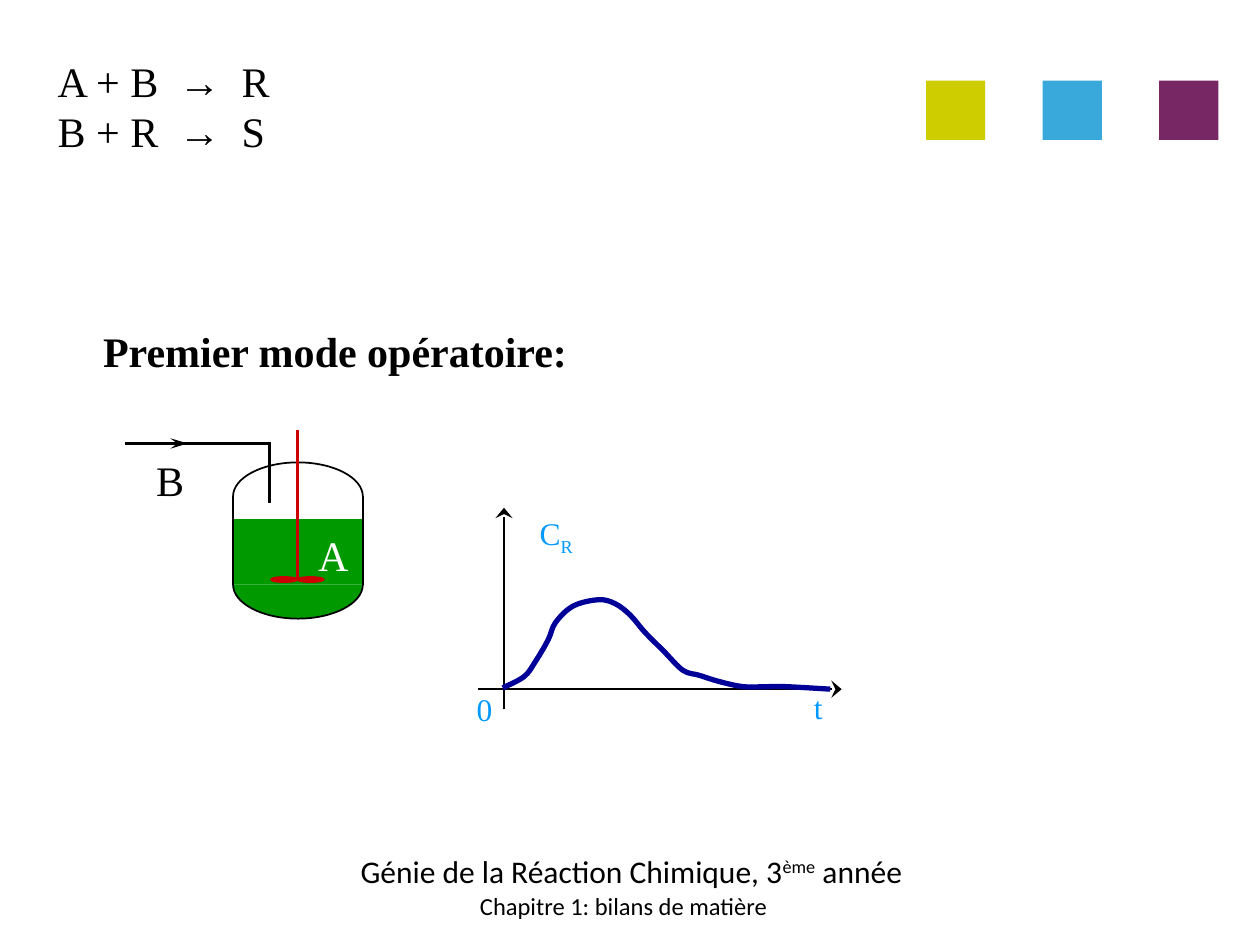
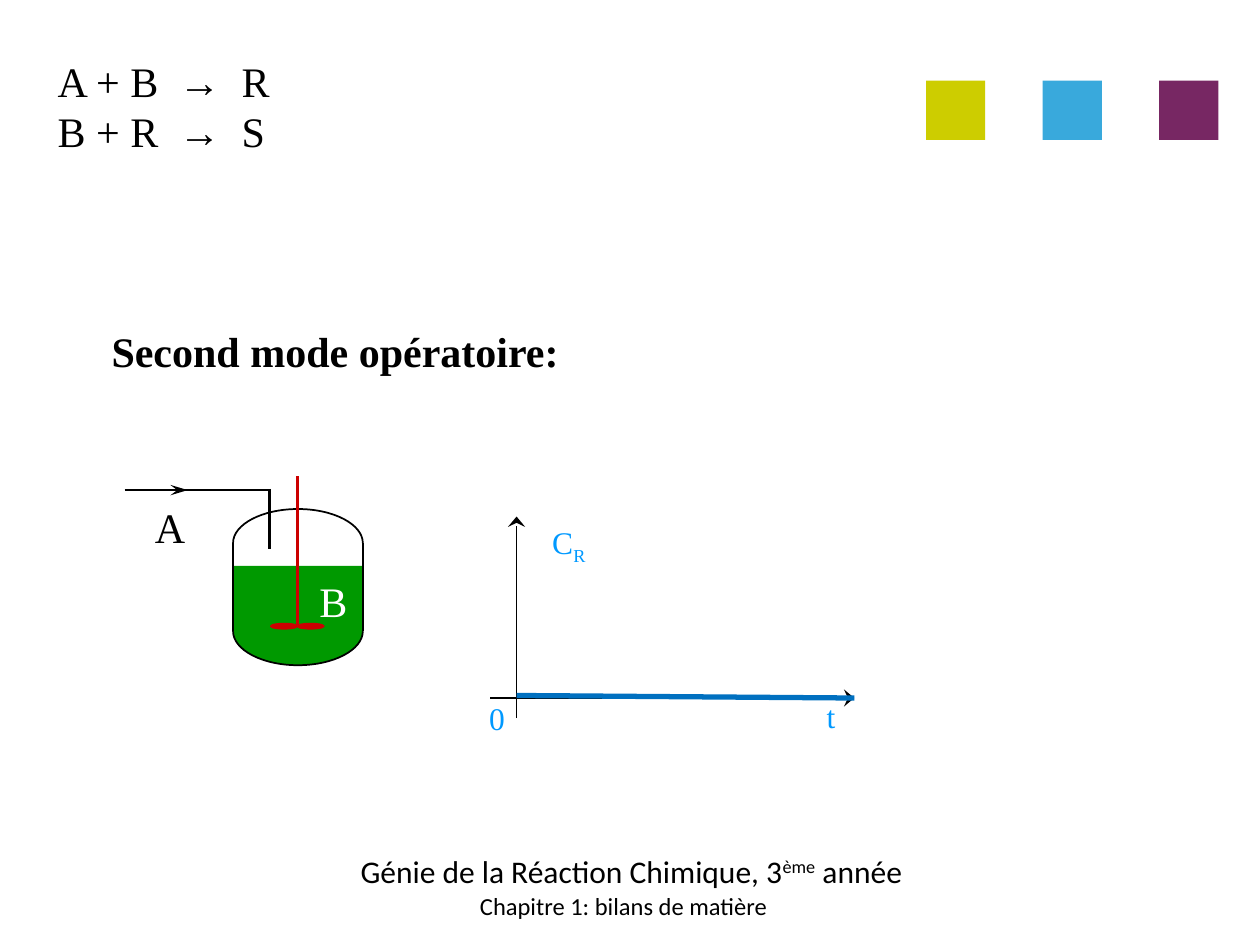
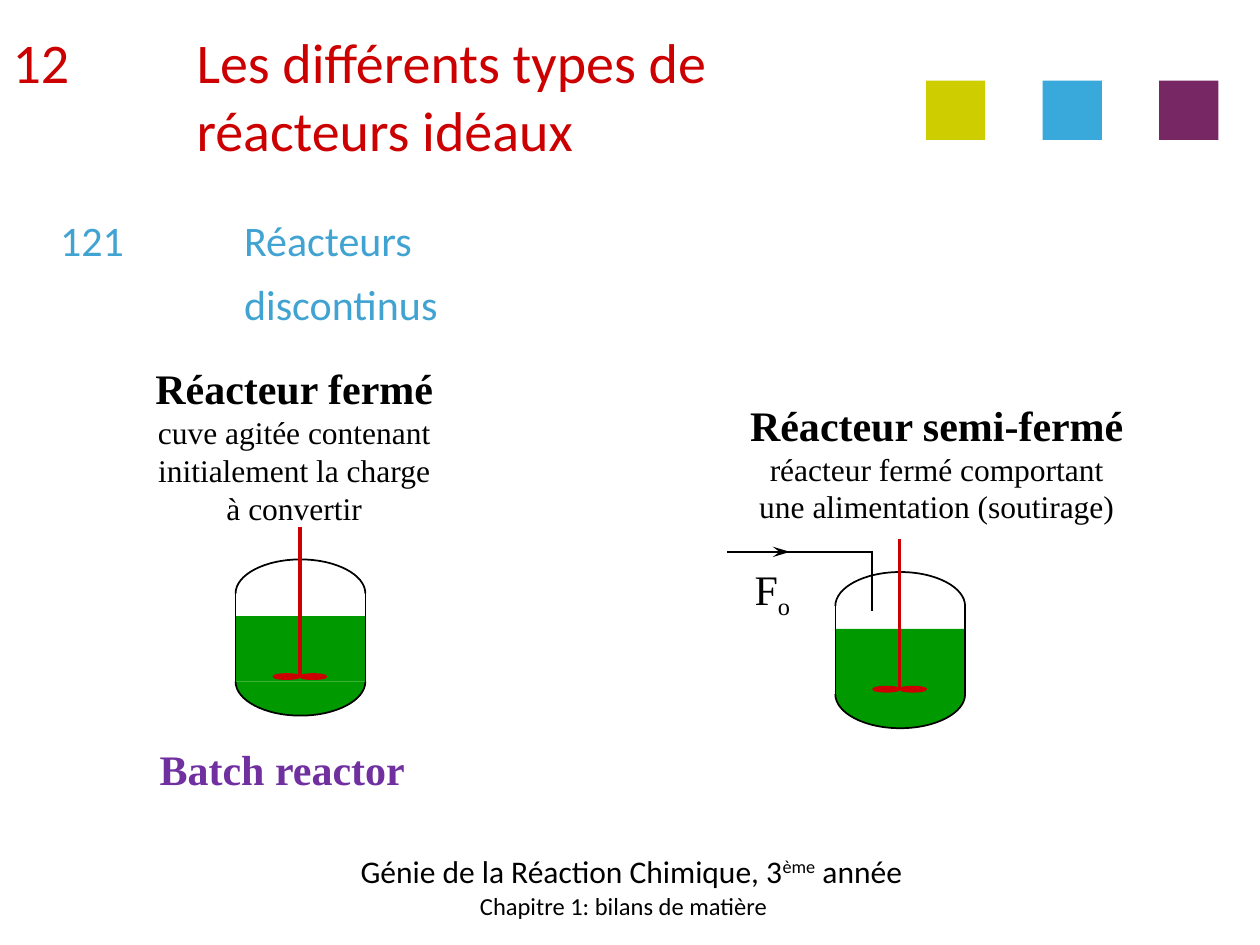
from lxml.etree import SubElement
from pptx import Presentation
from pptx.dml.color import RGBColor
from pptx.enum.shapes import MSO_CONNECTOR, MSO_SHAPE
from pptx.enum.text import MSO_ANCHOR, PP_ALIGN
from pptx.oxml import parse_xml
from pptx.oxml.ns import nsdecls, qn
from pptx.util import Inches, Pt

BLACK, WHITE, RED, GREEN = "000000", "FFFFFF", "CC0000", "009900"
AXIS_BLUE, CURVE_BLUE, FLAT_BLUE = "0099FF", "000099", "0070C0"
SECTION_BLUE, PURPLE = "40A3D1", "7030A0"
SQUARES = ["CDCD00", "39A9DC", "772763"]
SERIF, SANS = "Times New Roman", "Calibri"

HEADING = dict(size=24, bold=True)
NOTE = dict(size=18)
SUB, SUPER = dict(base=-25), dict(base=30)

# Knots of the concentration curve, relative to the plot box
BUMP = [(1.39, 1.53), (1.56, 1.44), (1.65, 1.32), (1.75, 1.15), (1.81, 1.01),
        (1.95, 0.88), (2.15, 0.83), (2.28, 0.86), (2.4, 0.95), (2.52, 1.09),
        (2.67, 1.24), (2.82, 1.39), (2.95, 1.43), (3.11, 1.48), (3.3, 1.52),
        (3.49, 1.52), (3.64, 1.52), (3.99, 1.54)]


def rgb(color):
    return RGBColor.from_string(color)


def write(tf, paragraphs, wrap=False, align=PP_ALIGN.CENTER, anchor=MSO_ANCHOR.TOP, **base):
    """Fill a text frame; each paragraph is a list of (text, format) runs."""
    frame = dict(word_wrap=wrap, vertical_anchor=anchor, margin_left=Inches(0.1),
                 margin_right=Inches(0.1), margin_top=Inches(0.05), margin_bottom=Inches(0.05))
    for name, value in frame.items():
        setattr(tf, name, value)
    for i, runs in enumerate(paragraphs):
        p = tf.paragraphs[0] if i == 0 else tf.add_paragraph()
        p.alignment = align
        for text, changes in runs:
            fmt = dict(size=24, name=SERIF, color=BLACK, bold=False, base=0) | base | changes
            r = p.add_run()
            r.text = text
            r.font.color.rgb = rgb(fmt.pop("color"))
            shift = fmt.pop("base")
            if shift:
                r.font._element.set("baseline", str(shift * 1000))
            fmt["size"] = Pt(fmt["size"])
            for name, value in fmt.items():
                setattr(r.font, name, value)


def place(sp, box):
    for name, value in zip(("left", "top", "width", "height"), box):
        setattr(sp, name, Inches(value))


def add_text(shapes, box, paragraphs, **options):
    sp = shapes.add_textbox(*map(Inches, box))
    write(sp.text_frame, paragraphs, **options)
    return sp


def add_title(s, box, text, **options):
    place(s.shapes.title, box)
    write(s.shapes.title.text_frame, [[(text, {})]], **options)


def hang(p, indent, number=None):
    """Give a paragraph a hanging indent, with automatic numbering if asked."""
    pPr = p._p.get_or_add_pPr()
    pPr.set("marL", str(Inches(indent)))
    pPr.set("indent", str(-Inches(indent)))
    if number:
        SubElement(pPr, qn("a:buFont"), typeface="+mj-lt")
        SubElement(pPr, qn("a:buAutoNum"), type="arabicPlain", startAt=str(number))


def style(sp, fill=None, line=None, width=1):
    sp.shadow.inherit = False
    if fill:
        sp.fill.solid()
        sp.fill.fore_color.rgb = rgb(fill)
    else:
        sp.fill.background()
    if line:
        sp.line.color.rgb = rgb(line)
        sp.line.width = Pt(width)
    else:
        sp.line.fill.background()


def add_shape(shapes, kind, box, fill, line=None, width=1):
    sp = shapes.add_shape(kind, *map(Inches, box))
    style(sp, fill, line, width)
    return sp


def add_line(shapes, start, end, color=BLACK, width=1, arrow=None):
    """Draw a straight line; arrow is the (width, length) of its head."""
    c = shapes.add_connector(MSO_CONNECTOR.STRAIGHT, *map(Inches, start + end))
    c.line.color.rgb = rgb(color)
    c.line.width = Pt(width)
    if arrow:
        SubElement(c.line._get_or_add_ln(), qn("a:tailEnd"),
                   type="stealth", w=arrow[0], len=arrow[1])
    c._element.spPr.append(parse_xml(f"<a:effectLst {nsdecls('a')}/>"))


def add_curve(shapes, start, segments, fill=None, line=BLACK, width=1):
    """Draw an open Bézier outline; a segment is (control, control, end)."""
    builder = shapes.build_freeform(*map(Inches, start))
    builder.add_line_segments([tuple(map(Inches, seg[-1])) for seg in segments], close=False)
    sp = builder.convert_to_shape()
    style(sp, fill, line, width)
    outline = next(sp.element.iter(qn("a:path")))
    for straight, seg in zip(outline.findall(qn("a:lnTo")), segments):
        outline.remove(straight)
        bezier = SubElement(outline, qn("a:cubicBezTo"))
        for x, y in seg:
            SubElement(bezier, qn("a:pt"), x=str(Inches(x) - sp.left), y=str(Inches(y) - sp.top))


def add_half_ellipse(shapes, cx, cy, rx, ry, **look):
    """Draw a half ellipse from left to right; a negative ry bulges upwards."""
    k = 0.55
    segments = [((cx - rx, cy + k * ry), (cx - k * rx, cy + ry), (cx, cy + ry)),
                ((cx + k * rx, cy + ry), (cx + rx, cy + k * ry), (cx + rx, cy))]
    add_curve(shapes, (cx - rx, cy), segments, **look)


def smooth(knots):
    """Bézier segments of a smooth curve through the knots."""
    padded = [knots[0], *knots, knots[-1]]
    return [((b[0] + (c[0] - a[0]) / 6, b[1] + (c[1] - a[1]) / 6),
             (c[0] - (d[0] - b[0]) / 6, c[1] - (d[1] - b[1]) / 6), c)
            for a, b, c, d in zip(padded, padded[1:], padded[2:], padded[3:])]


def vessel(s, x, y, content=None):
    """Stirred tank whose left wall is at x and whose stirrer starts at y."""
    g = s.shapes.add_group_shape().shapes
    width, middle = 1.03, x + 0.51
    dome, bowl = y + 0.53, y + 1.23
    add_half_ellipse(g, x + width / 2, bowl, width / 2, 0.27, fill=GREEN)
    add_shape(g, MSO_SHAPE.RECTANGLE, (x, y + 0.71, width, 0.52), GREEN)
    add_half_ellipse(g, x + width / 2, dome, width / 2, -0.27)
    for wall in (x, x + width):
        add_line(g, (wall, dome), (wall, bowl))
    add_line(g, (middle, y), (middle, y + 1.19), RED, 2)
    for blade in (middle - 0.21, middle):
        add_shape(g, MSO_SHAPE.OVAL, (blade, y + 1.17, 0.21, 0.04), RED, RED)
    if content:
        add_text(g, (x + 0.57, y + 0.74, 0.45, 0.5), [[(content, {})]], color=WHITE)


def feed(s, x, y, label):
    """Inlet pipe of the vessel placed at x, y."""
    g = s.shapes.add_group_shape().shapes
    pipe = y + 0.11
    add_line(g, (x - 0.77, pipe), (x - 0.36, pipe), width=1.5, arrow=("med", "lg"))
    add_line(g, (x - 0.86, pipe), (x + 0.3, pipe), width=1.5)
    add_line(g, (x + 0.29, pipe - 0.01), (x + 0.29, y + 0.58), width=1.5)
    add_text(g, (x - 0.81, y + 0.15, 0.62, 0.5), [label])


def plot(s, x, y, curve, color):
    """Axes of concentration against time, with a curve relative to the box."""
    g = s.shapes.add_group_shape().shapes
    add_shape(g, MSO_SHAPE.RECTANGLE, (x, y, 4.22, 1.89), WHITE, WHITE, 0.75)
    add_line(g, (x + 1.4, y + 1.7), (x + 1.4, y + 0.1), arrow=("lg", "med"))
    add_line(g, (x + 1.19, y + 1.54), (x + 4.08, y + 1.54), arrow=("lg", "med"))
    labels = [((1.48, 0.1, 0.67, 0.4), [("C", {}), ("R", SUB)]),
              ((3.76, 1.48, 0.27, 0.4), [("t", {})]),
              ((1.08, 1.5, 0.33, 0.4), [("0", {})])]
    for (left, top, width, height), runs in labels:
        add_text(g, (x + left, y + top, width, height), [runs], size=18, color=AXIS_BLUE)
    points = [(x + dx, y + dy) for dx, dy in curve]
    if len(points) == 2:
        add_line(g, *points, color, 3)
    else:
        add_curve(g, points[0], smooth(points), line=color, width=3)


def brand(prs, layout):
    """Put the squares and the footer on the layout; return the first slide."""
    for sp in list(layout.placeholders)[1:]:
        sp.element.getparent().remove(sp.element)
    s = prs.slides.add_slide(layout)
    parts = [add_shape(s.shapes, MSO_SHAPE.RECTANGLE, (7.35 + 0.925 * i, 0.64, 0.47, 0.47), color)
             for i, color in enumerate(SQUARES)]
    course = [("Génie de la Réaction Chimique, 3", {}), ("ème", SUPER), (" année", {})]
    chapter = [("Chapitre 1: bilans de matière", {})]
    for box, runs, size in [((2.72, 6.66, 4.58, 0.5), course, 18),
                            ((3.65, 6.94, 2.6, 0.5), chapter, 14)]:
        parts.append(add_text(s.shapes, box, [runs], anchor=MSO_ANCHOR.MIDDLE,
                              name=SANS, size=size))
    for sp in parts:
        layout.shapes.element.append(sp.element)
    return s


def mode_slide(s, title, vessel_top, fed, content, plot_at, curve, color):
    add_title(s, (0.66, 2.53, 4, 0.5), title, bold=True)
    reactions = add_text(s.shapes, (0.36, 0.39, 5, 0.91),
                         [[("A + B\t→\tR", {})], [("B + R\t→\tS", {})]],
                         wrap=True, align=PP_ALIGN.LEFT)
    for p in reactions.text_frame.paragraphs:
        tabs = SubElement(p._p.get_or_add_pPr(), qn("a:tabLst"))
        for stop in (0.96, 1.46):
            SubElement(tabs, qn("a:tab"), pos=str(Inches(stop)), algn="l")
    plot(s, *plot_at, curve, color)
    feed(s, 1.85, vessel_top, [(fed, {})])
    vessel(s, 1.85, vessel_top, content)


def types_slide(s):
    add_title(s, (0, 0.13, 7.2, 1.25), "Les différents types de réacteurs idéaux", wrap=True,
              align=PP_ALIGN.LEFT, anchor=MSO_ANCHOR.MIDDLE, name=SANS, size=32, color=RED)
    hang(s.shapes.title.text_frame.paragraphs[0], 1.46, number=12)
    section = add_text(s.shapes, (0.38, 1.48, 4.37, 1.25), [[("121\tRéacteurs discontinus", {})]],
                       wrap=True, align=PP_ALIGN.LEFT, anchor=MSO_ANCHOR.MIDDLE,
                       name=SANS, color=SECTION_BLUE)
    p = section.text_frame.paragraphs[0]
    p.line_spacing = 1.27
    hang(p, 1.46)
    add_shape(s.shapes, MSO_SHAPE.RECTANGLE, (2.59, 5.06, 2.16, 0.32), WHITE)
    descriptions = [
        ((1.09, 2.83, 2.49, 1.4), "Réacteur fermé",
         ["cuve agitée contenant", "initialement la charge", "à convertir"]),
        ((5.81, 3.12, 3.25, 1.1), "Réacteur semi-fermé",
         ["réacteur fermé comportant", "une alimentation (soutirage)"])]
    for box, heading, notes in descriptions:
        add_text(s.shapes, box, [[(heading, HEADING)]] + [[(note, NOTE)] for note in notes])
    vessel(s, 1.87, 4.18)
    feed(s, 6.63, 4.27, [("F", {}), ("o", SUB)])
    vessel(s, 6.63, 4.28)
    add_text(s.shapes, (1.08, 5.85, 2.32, 0.5), [[("Batch reactor", HEADING)]], color=PURPLE)


def main():
    prs = Presentation()
    prs.slide_width, prs.slide_height = Inches(10), Inches(7.5)
    layout = prs.slide_layouts.get_by_name("Title Only")
    first = brand(prs, layout)
    mode_slide(first, "Premier mode opératoire:", 3.41, "B", "A",
               (2.6, 3.93), BUMP, CURVE_BLUE)
    mode_slide(prs.slides.add_slide(layout), "Second mode opératoire:", 3.78, "A", "B",
               (2.7, 4), [(1.4, 1.52), (4.08, 1.54)], FLAT_BLUE)
    types_slide(prs.slides.add_slide(layout))
    prs.save("out.pptx")


if __name__ == "__main__":
    main()
